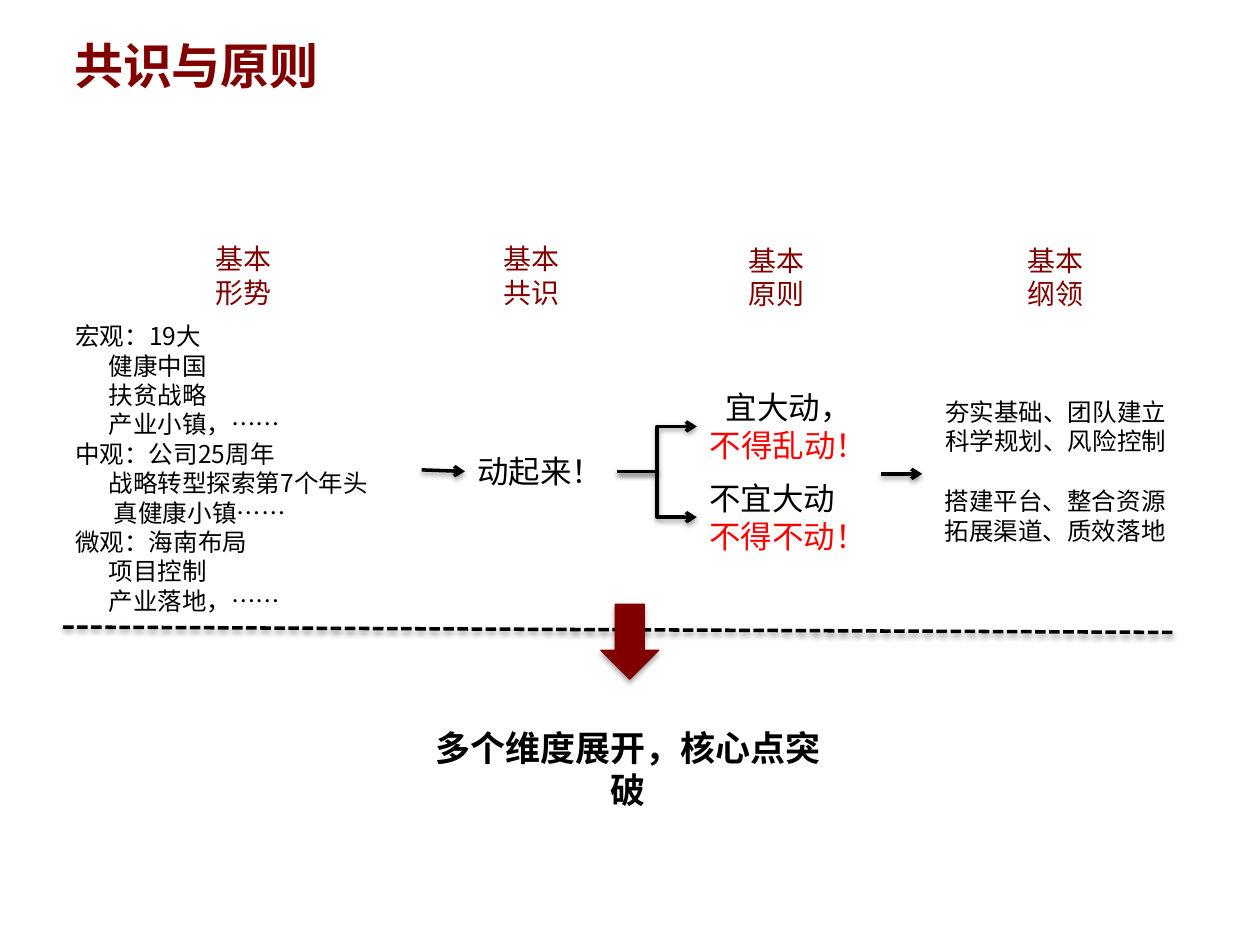
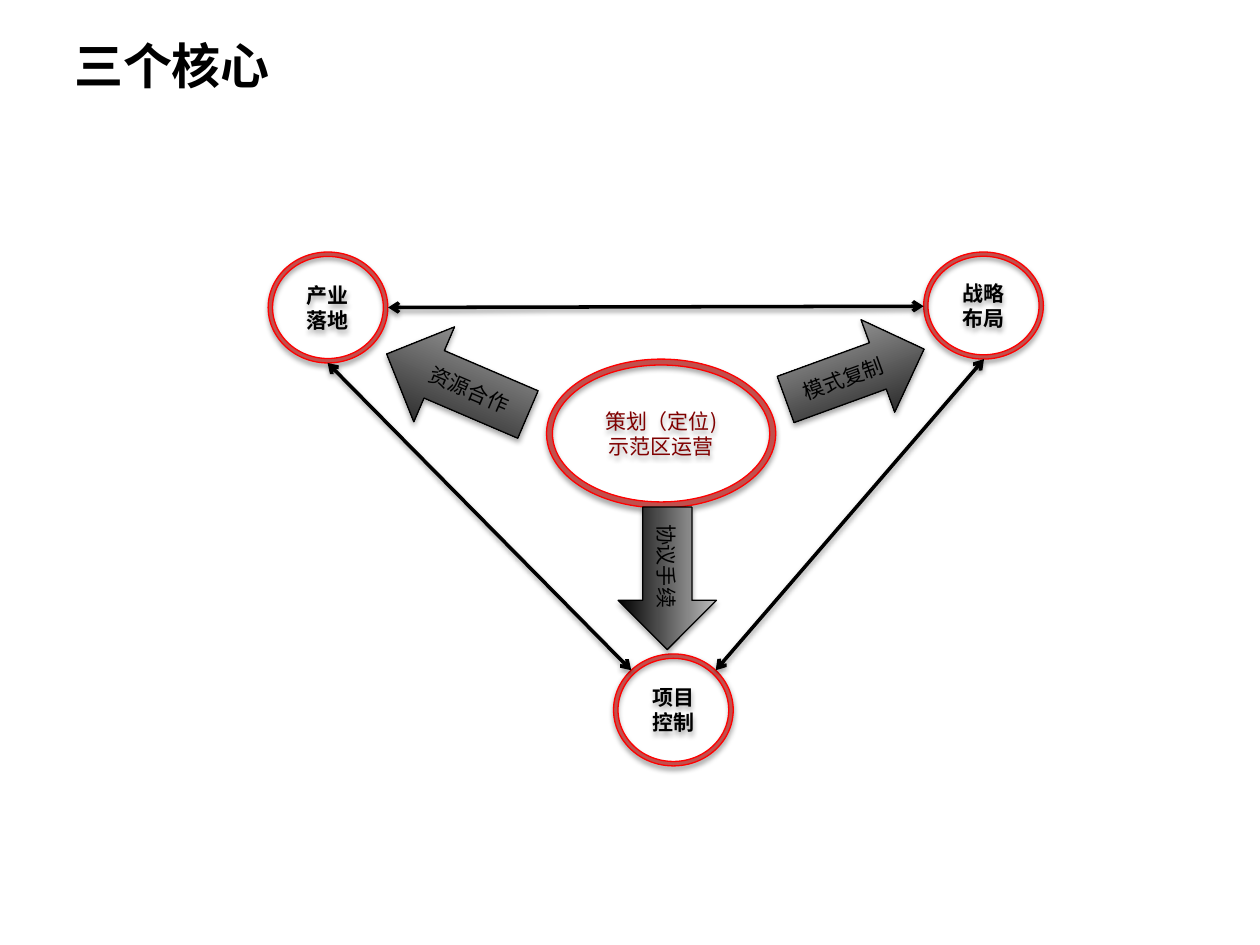
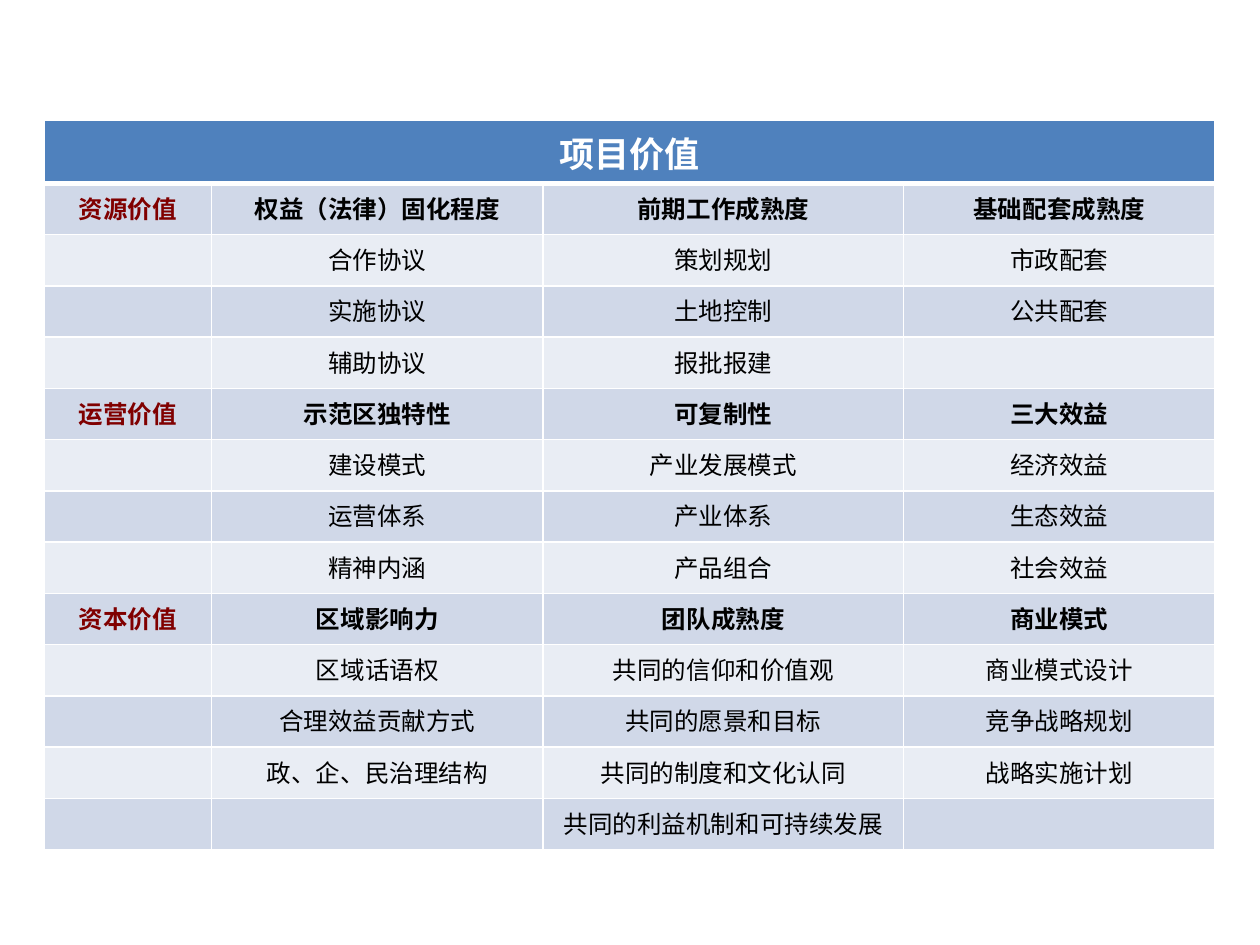
"""Build three slides: consensus and principles, three cores, and project value."""
from dataclasses import dataclass

from lxml.etree import SubElement
from pptx import Presentation
from pptx.dml.color import RGBColor as Rgb
from pptx.enum.dml import MSO_LINE
from pptx.enum.shapes import MSO_CONNECTOR as Link, MSO_SHAPE as Shape
from pptx.enum.text import MSO_ANCHOR as Anchor, MSO_AUTO_SIZE as AutoSize, PP_ALIGN as Align
from pptx.oxml.ns import qn
from pptx.util import Pt


@dataclass(frozen=True)
class Theme:
    black: Rgb = Rgb(0x00, 0x00, 0x00)
    white: Rgb = Rgb(0xFF, 0xFF, 0xFF)
    maroon: Rgb = Rgb(0x80, 0x00, 0x00)
    red: Rgb = Rgb(0xFF, 0x00, 0x00)
    brick: Rgb = Rgb(0xC0, 0x50, 0x4D)
    silver: Rgb = Rgb(0xBD, 0xBD, 0xBD)
    blue: Rgb = Rgb(0x4F, 0x81, 0xBD)
    band_dark: Rgb = Rgb(0xD0, 0xD8, 0xE8)
    band_light: Rgb = Rgb(0xE9, 0xED, 0xF4)
    font: str = "Noto Sans CJK SC"
    arrow_font: str = "Calibri"
    title: int = 28
    strong: int = 20
    point: int = 18
    heading: int = 16
    body: int = 14
    label: int = 12


theme = Theme()


def write(frame, text, size=theme.body, color=theme.black, bold=False, align=Align.LEFT,
          font=theme.font, wrap=True, grow=False, indents=()):
    frame.word_wrap = wrap
    if grow:
        frame.auto_size = AutoSize.SHAPE_TO_FIT_TEXT
    for index, line in enumerate(text.split("\n")):
        para = frame.add_paragraph() if index else frame.paragraphs[0]
        para.alignment = align
        if indents:
            para._p.get_or_add_pPr().set("marL", str(Pt(indents[index])))
        if not line:
            SubElement(para._p, qn("a:endParaRPr"), sz=str(size * 100))
            continue
        span = para.add_run()
        span.text = line
        span.font.name, span.font.size, span.font.bold = font, Pt(size), bold
        span.font.color.rgb = color
        SubElement(span._r.get_or_add_rPr(), qn("a:ea"), typeface=font)


def outline(shape, color=theme.black, width=2, ends=(), dash=None, opacity=38, distance=1.6):
    shape.line.color.rgb = color
    shape.line.width = Pt(width)
    if dash:
        shape.line.dash_style = dash
    for end in ends:
        SubElement(shape.line._get_or_add_ln(), qn(f"a:{end}"), type="arrow")
    effects = SubElement(shape._element.spPr, qn("a:effectLst"))
    if opacity:
        shadow = SubElement(effects, qn("a:outerShdw"), blurRad=str(Pt(3.1)),
                            dist=str(Pt(distance)), dir="5400000", rotWithShape="0")
        tint = SubElement(shadow, qn("a:srgbClr"), val=str(theme.black))
        SubElement(tint, qn("a:alpha"), val=str(opacity * 1000))


deck = Presentation()
deck.slide_width, deck.slide_height = Pt(720), Pt(540)
consensus_page, cores_page, value_page = [
    deck.slides.add_slide(deck.slide_layouts[6]) for _ in range(3)]

for page, title, color in ((consensus_page, "共识与原则", theme.maroon),
                           (cores_page, "三个核心", theme.black)):
    box = page.shapes.add_textbox(Pt(35.3), Pt(16.6), Pt(347), Pt(41))
    write(box.text_frame, title, size=theme.title, color=color, bold=True, grow=True)

shapes = consensus_page.shapes
situation_lines = (
    ("宏观：19大", 0), ("健康中国", 19), ("扶贫战略", 19), ("产业小镇，……", 19),
    ("中观：公司25周年", 0), ("战略转型探索第7个年头", 19), ("真健康小镇……", 22),
    ("微观：海南布局", 0), ("项目控制", 19), ("产业落地，……", 19))
situation = shapes.add_shape(Shape.RECTANGLE, Pt(36), Pt(180), Pt(205), Pt(177))
situation.fill.solid()
situation.fill.fore_color.rgb = theme.white
outline(situation, theme.white, opacity=0)
situation.text_frame.vertical_anchor = Anchor.TOP
write(situation.text_frame, "\n".join(line for line, _ in situation_lines),
      indents=[indent for _, indent in situation_lines])

consensus = shapes.add_textbox(Pt(265.7), Pt(254.9), Pt(87), Pt(29))
write(consensus.text_frame, "动起来！", size=theme.point, wrap=False, grow=True)

principles = []
for top, text, align in ((218.2, "宜大动，\n不得乱动！", Align.CENTER),
                         (270, "不宜大动\n不得不动！", Align.LEFT)):
    box = shapes.add_textbox(Pt(398.2), Pt(top), Pt(105), Pt(51))
    write(box.text_frame, text, size=theme.point, align=align, wrap=False, grow=True)
    box.text_frame.paragraphs[1].runs[0].font.color.rgb = theme.red
    principles.append(box)

for left, top, width, text in ((527, 223.2, 152.6, "夯实基础、团队建立\n科学规划、风险控制"),
                               (525.6, 274.3, 154.8, "搭建平台、整合资源\n拓展渠道、质效落地")):
    box = shapes.add_textbox(Pt(left), Pt(top), Pt(width), Pt(41))
    write(box.text_frame, text, align=Align.CENTER, grow=True)

for kind, start, target in ((Link.STRAIGHT, situation, consensus),
                            (Link.ELBOW, consensus, principles[0]),
                            (Link.ELBOW, consensus, principles[1])):
    link = shapes.add_connector(kind, 0, 0, 0, 0)
    link.begin_connect(start, 3)
    link.end_connect(target, 1)
    outline(link, ends=("tailEnd",))

to_programme = shapes.add_connector(Link.STRAIGHT, Pt(503.3), Pt(270.8), Pt(527), Pt(270.8))
outline(to_programme, ends=("tailEnd",))
divider = shapes.add_connector(Link.STRAIGHT, Pt(36), Pt(358.3), Pt(671.8), Pt(361.4))
outline(divider, dash=MSO_LINE.SQUARE_DOT)

down_arrow = shapes.add_shape(Shape.DOWN_ARROW, Pt(343.4), Pt(345.3), Pt(33), Pt(42.8))
down_arrow.fill.solid()
down_arrow.fill.fore_color.rgb = theme.maroon
outline(down_arrow, theme.maroon, 0.75, opacity=35, distance=1.8)

for left, top, topic in ((115.9, 134.6, "形势"), (280.8, 134.6, "共识"),
                         (420.5, 135.4, "原则"), (580.3, 135.4, "纲领")):
    box = shapes.add_textbox(Pt(left), Pt(top), Pt(47), Pt(46))
    write(box.text_frame, f"基本\n{topic}", size=theme.heading, color=theme.maroon,
          wrap=False, grow=True)

conclusion = shapes.add_textbox(Pt(231.8), Pt(411.8), Pt(254), Pt(32))
write(conclusion.text_frame, "多个维度展开，核心点突破", size=theme.strong, bold=True,
      align=Align.CENTER, grow=True)

shapes = cores_page.shapes
for left, top, width, height, text, color, bold in (
        (350.6, 373.7, 68.4, 64, "项目\n控制", theme.black, True),
        (527.8, 144, 68.4, 61.2, "战略布局", theme.black, True),
        (153.2, 144, 68.4, 63.4, "产业落地", theme.black, True),
        (312.3, 205.2, 131, 85, "策划（定位)\n示范区运营", theme.maroon, False)):
    ring = shapes.add_shape(Shape.DONUT, Pt(left), Pt(top), Pt(width), Pt(height))
    ring.adjustments[0] = 0.04
    ring.fill.solid()
    ring.fill.fore_color.rgb = theme.brick
    outline(ring, theme.red, 0.75, opacity=35, distance=1.8)
    write(ring.text_frame, text, size=theme.label, color=color, bold=bold, align=Align.CENTER)

for ends in ((187.2, 207.4, 360.7, 383), (409, 383, 562.3, 205.2), (221.8, 175.7, 527.8, 175)):
    link = shapes.add_connector(Link.STRAIGHT, *map(Pt, ends))
    outline(link, ends=("headEnd", "tailEnd"))

for left, top, width, height, angle, flipped, text in (
        (446.4, 185.8, 84.2, 56.2, 340, False, "模式复制"),
        (217.4, 190.1, 87.8, 59, 203.2, True, "资源合作"),
        (340.6, 302.4, 81.4, 56.2, 90, False, "协议手续")):
    arrow = shapes.add_shape(Shape.RIGHT_ARROW, Pt(left), Pt(top), Pt(width), Pt(height))
    arrow.rotation = angle
    if flipped:
        arrow._element.spPr.xfrm.set("flipV", "1")
    arrow.fill.gradient()
    arrow.fill.gradient_angle = 90
    for stop, color in zip(arrow.fill.gradient_stops, (theme.black, theme.silver)):
        stop.color.rgb = color
    outline(arrow, theme.black, 0.75, opacity=35, distance=1.8)
    write(arrow.text_frame, text, size=theme.label, font=theme.arrow_font, align=Align.CENTER)

value_rows = (
    ("项目价值", "", "", ""),
    ("资源价值", "权益（法律）固化程度", "前期工作成熟度", "基础配套成熟度"),
    ("", "合作协议", "策划规划", "市政配套"),
    ("", "实施协议", "土地控制", "公共配套"),
    ("", "辅助协议", "报批报建", ""),
    ("运营价值", "示范区独特性", "可复制性", "三大效益"),
    ("", "建设模式", "产业发展模式", "经济效益"),
    ("", "运营体系", "产业体系", "生态效益"),
    ("", "精神内涵", "产品组合", "社会效益"),
    ("资本价值", "区域影响力", "团队成熟度", "商业模式"),
    ("", "区域话语权", "共同的信仰和价值观", "商业模式设计"),
    ("", "合理效益贡献方式", "共同的愿景和目标", "竞争战略规划"),
    ("", "政、企、民治理结构", "共同的制度和文化认同", "战略实施计划"),
    ("", "", "共同的利益机制和可持续发展", ""))
column_widths = (95.5, 189.5, 206, 178)
row_height = 29.3
table = value_page.shapes.add_table(
    len(value_rows), len(column_widths), Pt(25.4), Pt(68.6),
    Pt(sum(column_widths)), Pt(row_height * len(value_rows))).table
for column, width in zip(table.columns, column_widths):
    column.width = Pt(width)
for row_index, values in enumerate(value_rows):
    table.rows[row_index].height = Pt(row_height)
    is_header = row_index == 0
    fill = theme.blue if is_header else theme.band_dark if row_index % 2 else theme.band_light
    for column_index, value in enumerate(values):
        cell = table.cell(row_index, column_index)
        color = theme.white if is_header else theme.black if column_index else theme.maroon
        write(cell.text_frame, value, size=theme.strong if is_header else theme.body,
              color=color, bold=bool(values[0]), align=Align.CENTER)
        for side in "LRTB":
            thick = (is_header and side == "B") or (row_index == 1 and side == "T")
            border = SubElement(cell._tc.get_or_add_tcPr(), qn(f"a:ln{side}"),
                                w=str(Pt(3 if thick else 1)))
            SubElement(SubElement(border, qn("a:solidFill")), qn("a:srgbClr"),
                       val=str(theme.white))
        cell.fill.solid()
        cell.fill.fore_color.rgb = fill
table.cell(0, 0).merge(table.cell(0, len(column_widths) - 1))

deck.save("out.pptx")
